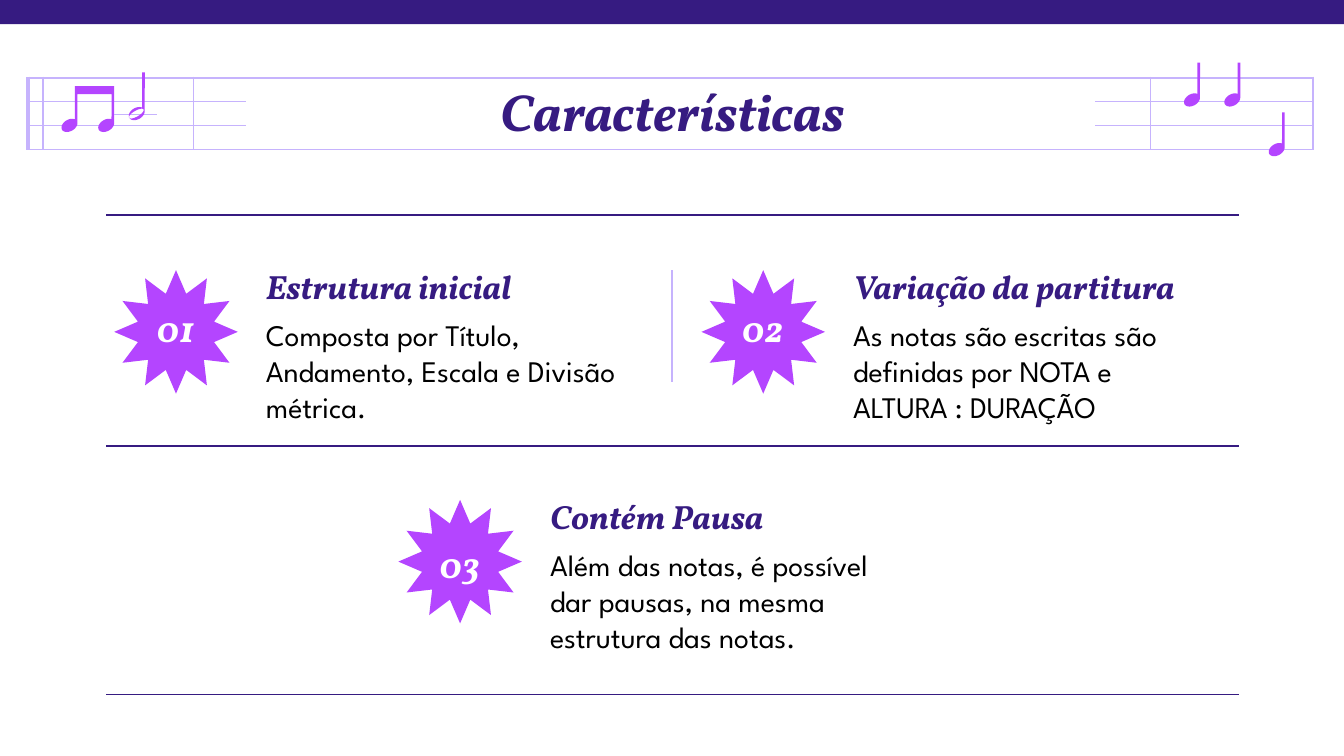
from dataclasses import dataclass
from math import cos, radians, sin

from lxml.etree import SubElement
from pptx import Presentation
from pptx.dml.color import RGBColor as RGB
from pptx.enum.shapes import MSO_CONNECTOR as Conn, MSO_SHAPE as Form
from pptx.enum.text import MSO_ANCHOR as Anchor, PP_ALIGN as Align
from pptx.oxml.ns import qn
from pptx.util import Pt


@dataclass(frozen=True)
class Theme:
    ink: RGB = RGB(0x36, 0x1B, 0x81)
    staff: RGB = RGB(0xC6, 0xB3, 0xFD)
    note: RGB = RGB(0xB4, 0x45, 0xFF)
    white: RGB = RGB(255, 255, 255)
    black: RGB = RGB(0, 0, 0)
    serif: str = "Vollkorn"
    sans: str = "League Spartan"
    title: int = 28
    num: int = 20
    head: int = 18
    body: int = 16


def oval(x, y, a, b, start, stop, step=12):
    tilt = radians(30)
    dots = []
    for deg in range(start, stop + (1 if step > 0 else -1), step):
        t = radians(deg)
        u, v = a * cos(t), b * sin(t)
        dots.append((x + u * cos(tilt) - v * sin(tilt),
                     y - u * sin(tilt) - v * cos(tilt)))
    return dots


def stem(x, y, left, right):
    return [(x + 2.9, left), *oval(x, y, 4.6, 3.1, 27, 339), (x + 4.3, right)]


class Deck:
    def __init__(self, theme):
        self.theme = theme
        self.prs = Presentation()
        self.prs.slide_width, self.prs.slide_height = Pt(720), Pt(405)
        self.slide = self.prs.slides.add_slide(self.prs.slide_layouts[6])
        self.shapes = self.slide.shapes

    def paint(self, shape, color):
        shape.shadow.inherit = False
        shape.fill.solid()
        shape.fill.fore_color.rgb = color
        shape.line.fill.background()
        return shape

    def shape(self, form, x, y, w, h, color):
        box = self.shapes.add_shape(form, Pt(x), Pt(y), Pt(w), Pt(h))
        return self.paint(box, color)

    def line(self, x1, y1, x2, y2, color, width=0.75):
        line = self.shapes.add_connector(Conn.STRAIGHT, Pt(x1), Pt(y1), Pt(x2), Pt(y2))
        line.line.color.rgb = color
        line.line.width = Pt(width)
        SubElement(line._element.spPr, qn("a:effectLst"))

    def text(self, x, y, w, h, words, size, color, serif=True,
             align=Align.LEFT, anchor=Anchor.TOP, right=7.2):
        frame = self.shapes.add_textbox(Pt(x), Pt(y), Pt(w), Pt(h)).text_frame
        frame.word_wrap = True
        frame.vertical_anchor = anchor
        frame.margin_left = frame.margin_top = frame.margin_bottom = Pt(7.2)
        frame.margin_right = Pt(right)
        para = frame.paragraphs[0]
        para.alignment = align
        run = para.add_run()
        run.text = words
        font = run.font
        font.name = self.theme.serif if serif else self.theme.sans
        font.size = Pt(size)
        font.color.rgb = color
        font.bold = font.italic = serif

    def note(self, *loops):
        pen = None
        for loop in loops:
            dots = [(Pt(x), Pt(y)) for x, y in loop]
            if pen is None:
                pen = self.shapes.build_freeform(*dots[0], scale=1.0)
            else:
                pen.move_to(*dots[0])
            pen.add_line_segments(dots[1:], close=True)
        self.paint(pen.convert_to_shape(), self.theme.note)

    def item(self, x, y, num, head, body, drop):
        look = self.theme
        star = self.shape(Form.STAR_12_POINT, x, y, 66.2, 66.2, look.note)
        star.adjustments[0] = 0.319
        self.text(x - 5, y + drop, 75.6, 37.4, num, look.num, look.white,
                  align=Align.CENTER, anchor=Anchor.MIDDLE)
        self.text(x + 74.2, y - 6.5, 213.8, 33.1, head, look.head, look.ink,
                  anchor=Anchor.BOTTOM)
        self.text(x + 74.2, y + 18, 213.8, 53.3, body, look.body, look.black,
                  serif=False, right=14)


def main():
    look = Theme()
    deck = Deck(look)
    deck.shape(Form.RECTANGLE, 0, 0, 720, 13, look.ink)

    left, end, gap = 15.1, 703.4, 12.75
    for row in range(4):
        y = 41.8 + row * gap
        spans = [(left, end)] if row in (0, 3) else [(left, 131.8), (586.8, end)]
        for a, b in spans:
            deck.line(a, y, b, y, look.staff)
    for x, width in ((left, 2.25), (23, 1.5), (103.7, 0.75), (616.3, 0.75), (end, 0.75)):
        deck.line(x, 41, x, 80.6, look.staff, width)

    deck.text(171.4, 35.3, 378, 45.4, "Características", look.title, look.ink,
              align=Align.CENTER)

    items = (
        (61.2, 144.7, "Estrutura inicial",
         "Composta por Título, Andamento, Escala e Divisão métrica.", 12.2),
        (375.8, 144.7, "Variação da partitura",
         "As notas são escritas são definidas por NOTA e ALTURA : DURAÇÃO", 12.2),
        (213.4, 267.8, "Contém Pausa",
         "Além das notas, é possível dar pausas, na mesma estrutura das notas.", 15.6),
    )
    for i, (x, y, head, body, drop) in enumerate(items, 1):
        deck.item(x, y, f"{i:02}", head, body, drop)

    deck.line(360, 144.7, 360, 204.5, look.staff)
    for y in (115.2, 239, 372.2):
        deck.line(57, y, 663.8, y, look.ink)

    deck.note(stem(37.2, 67.2, 46.2, 50.4) + stem(56.9, 67.2, 50.4, 46.2))
    deck.line(61.2, 61.2, 84.2, 61.2, look.staff)
    deck.note(stem(73.3, 60.9, 38.8, 38.8), oval(73.1, 60.9, 4.5, 1.6, 360, 0, -12))
    for x, y in ((638.6, 53.6), (660.2, 53.6), (684, 80.2)):
        deck.note(stem(x, y, y - 20, y - 20))

    deck.prs.save("out.pptx")


if __name__ == "__main__":
    main()
